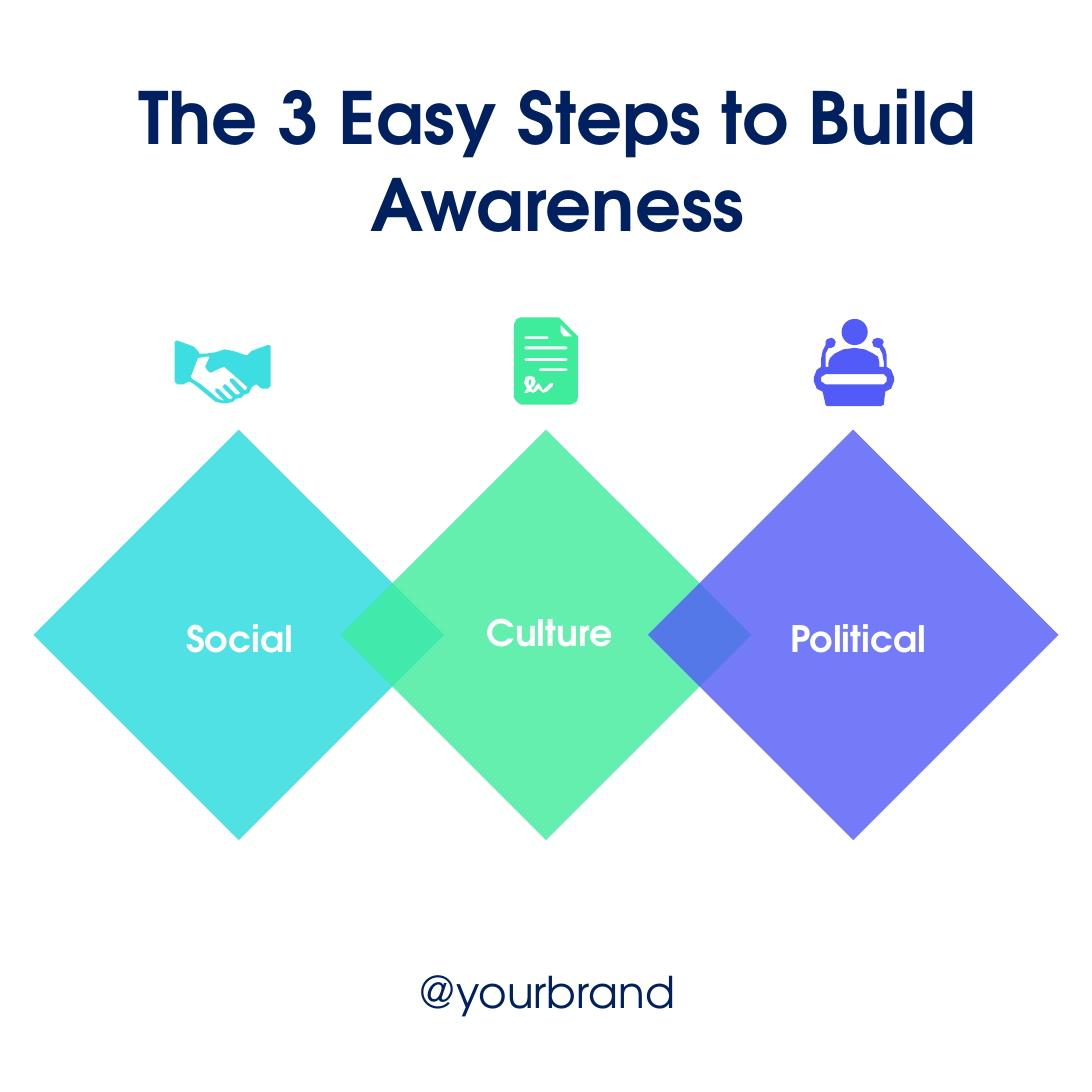
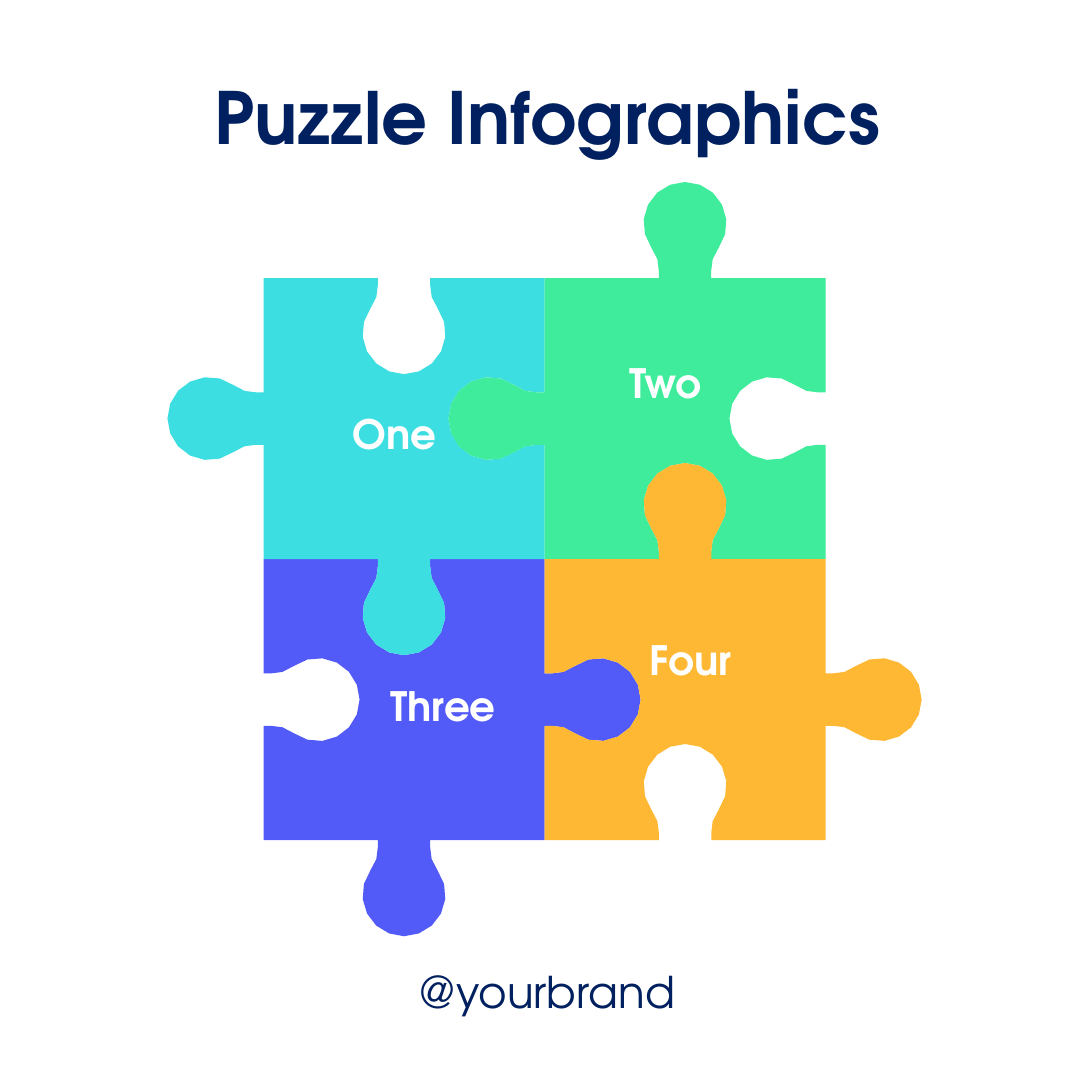
import math

from lxml import etree
from pptx import Presentation
from pptx.dml.color import RGBColor
from pptx.enum import shapes, text
from pptx.oxml.ns import qn

PX = 9144  # one px is a hundredth of an inch
FONT = "TeX Gyre Adventor"
COLORS = {
    "navy": "00205F",
    "white": "FFFFFF",
    "cyan": "3CDEE2",
    "green": "3EEC9C",
    "violet": "525BF7",
    "amber": "FEB833",
}


def write(sp, words, box, size=18, color="white", bold=True, wrap=True):
    sp.left, sp.top, sp.width, sp.height = (v * PX for v in box)
    tf = sp.text_frame
    tf.word_wrap = wrap
    tf.auto_size = text.MSO_AUTO_SIZE.NONE
    tf.vertical_anchor = text.MSO_ANCHOR.TOP
    p = tf.paragraphs[0]
    p.alignment = text.PP_ALIGN.CENTER
    r = p.add_run()
    r.text = words
    r.font.name, r.font.size, r.font.bold = FONT, int(size * 12700), bold
    r.font.color.rgb = RGBColor.from_string(COLORS[color])


def paint(sp, color, opacity=100):
    sp.shadow.inherit = False
    sp.fill.solid()
    sp.fill.fore_color.rgb = RGBColor.from_string(COLORS[color])
    sp.line.fill.background()
    if opacity < 100:
        clr = sp.fill._xPr.find(qn("a:solidFill"))[0]
        etree.SubElement(clr, qn("a:alpha"), val=str(opacity * 1000))


prs = Presentation()
prs.slide_width = prs.slide_height = 750 * PX

slides = []
for title, box in [
    ("The 3 Easy Steps to Build Awareness", (32, 45, 702, 130)),
    ("Puzzle Infographics", (56, 45, 640, 70)),
]:
    s = prs.slides.add_slide(prs.slide_layouts[5])
    write(s.shapes.title, title, box, size=35.6, color="navy")
    write(s.shapes.add_textbox(0, 0, 0, 0), "@yourbrand", (238, 658, 275, 46),
          size=21.6, color="navy", bold=False)
    slides.append(s)
steps, puzzle = slides

# Overlapping diamonds
DIAMOND, PITCH = 282, 211
for i, (color, opacity) in enumerate([("cyan", 90), ("green", 80), ("violet", 80)]):
    sp = steps.shapes.add_shape(shapes.MSO_SHAPE.DIAMOND, (23 + i * PITCH) * PX,
                                295 * PX, DIAMOND * PX, DIAMOND * PX)
    paint(sp, color, opacity)

# Icon outlines: later contours cut holes in the first one
handshake = [
    [(185, 237), (184, 237), (173, 241), (170, 244), (169, 244), (160, 241),
     (154, 240), (148, 242), (141, 243), (137, 243), (136, 241), (133, 238),
     (122, 234), (121, 234), (120, 235), (120, 262), (122, 264), (126, 264),
     (130, 262), (132, 263), (136, 266), (148, 276), (153, 277), (156, 277),
     (160, 276), (162, 274), (166, 273), (168, 271), (171, 270), (173, 266),
     (176, 264), (180, 267), (184, 267), (186, 265), (186, 238)],
    [(169, 268), (168, 268), (160, 260), (158, 260), (158, 262), (165, 270),
     (164, 271), (162, 271), (155, 264), (154, 264), (153, 266), (160, 273),
     (159, 274), (157, 274), (150, 267), (148, 267), (148, 269), (154, 275),
     (153, 275), (150, 274), (138, 264), (133, 261), (131, 259), (136, 246),
     (141, 245), (144, 245), (141, 252), (143, 255), (145, 256), (151, 253),
     (154, 252), (160, 257), (170, 266)],
]
document = [
    [(397, 231), (385, 219), (384, 218), (358, 218), (355, 219), (353, 223),
     (353, 273), (355, 276), (358, 278), (392, 278), (396, 276), (397, 273)],
    [(385, 223), (393, 231), (387, 231), (385, 228)],
    [(380, 265), (376, 269), (373, 270), (370, 267), (368, 269), (366, 270),
     (364, 269), (362, 270), (360, 270), (361, 268), (362, 267), (360, 263),
     (361, 259), (364, 258), (367, 259), (368, 262), (367, 265), (365, 267),
     (366, 268), (368, 265), (370, 263), (372, 266), (373, 268), (378, 263),
     (380, 263)],
]
for left, right, y in [(360, 377, 232), (360, 390, 239), (360, 390, 247), (370, 390, 254)]:
    document.append([(left, y), (left + 1, y - 1), (right - 1, y - 1),
                     (right, y), (right - 1, y + 1), (left + 1, y + 1)])
signature_loop = [[(364, 260), (363, 263), (364, 265), (365, 262)]]
podium = [
    [(609, 252), (609, 244), (608, 240), (606, 237), (607, 235), (606, 233),
     (603, 232), (600, 233), (599, 235), (600, 238), (603, 239), (604, 239),
     (606, 243), (607, 249), (607, 252), (604, 252), (604, 249), (603, 245),
     (600, 243), (594, 240), (587, 239), (579, 240), (573, 243), (570, 246),
     (569, 249), (569, 252), (567, 252), (567, 243), (569, 239), (571, 239),
     (573, 238), (574, 235), (573, 233), (571, 232), (568, 233), (567, 235),
     (567, 237), (565, 241), (564, 246), (564, 252), (561, 254), (559, 259),
     (559, 262), (561, 267), (565, 269), (567, 278), (568, 279), (605, 279),
     (607, 278), (608, 269), (612, 267), (614, 262), (614, 259), (612, 254)],
    [(609, 262), (607, 264), (567, 264), (564, 262), (564, 259), (567, 257),
     (607, 257), (609, 259)],
]
outlines = [(steps, "cyan", handshake), (steps, "green", document),
            (steps, "green", signature_loop), (steps, "violet", podium)]
head = steps.shapes.add_shape(shapes.MSO_SHAPE.OVAL, 578 * PX, 219 * PX, 18 * PX, 18 * PX)
paint(head, "violet")

# Knob outline as (distance out, distance along) from the middle of a side
neck = [(0, -18), (5, -18), (13, -19)]
bulb = [(37.5 + 28.5 * math.cos(math.radians(a)), 28.5 * math.sin(math.radians(a)))
        for a in range(-126, 127, 21)]
knob = neck + bulb + [(out, -along) for out, along in reversed(neck)]

# Pieces: column, row, and top, right, bottom, left sides (1 knob, -1 socket)
PIECE = 193
HALF = PIECE / 2
for color, col, row, sides in [
    ("violet", 0, 1, (-1, 1, 1, -1)),
    ("cyan", 0, 0, (-1, -1, 1, 1)),
    ("green", 1, 0, (1, -1, -1, 1)),
    ("amber", 1, 1, (1, 1, -1, -1)),
]:
    cx, cy = 181 + col * PIECE + HALF, 191 + row * PIECE + HALF
    contour = []
    for sign, (ax, ay) in zip(sides, [(1, 0), (0, 1), (-1, 0), (0, -1)]):
        for out, along in [(0, -HALF)] + knob:
            reach = HALF + sign * out
            contour.append((cx + ay * reach + ax * along, cy - ax * reach + ay * along))
    outlines.append((puzzle, color, [contour]))

for s, color, contours in outlines:
    fb = None
    for contour in contours:
        points = [(x * PX, y * PX) for x, y in contour]
        if fb is None:
            fb = s.shapes.build_freeform(*points[0])
        else:
            fb.move_to(*points[0])
        fb.add_line_segments(points[1:], close=True)
    paint(fb.convert_to_shape(), color)

for s, size, words, box in [
    (steps, 18, "Social", (117, 418, 95, 40)),
    (steps, 18, "Culture", (323, 414, 109, 40)),
    (steps, 18, "Political", (532, 418, 115, 40)),
    (puzzle, 20, "One", (232, 276, 78, 44)),
    (puzzle, 20, "Two", (421, 241, 72, 44)),
    (puzzle, 20, "Three", (258, 463, 93, 44)),
    (puzzle, 20, "Four", (412, 431, 125, 44)),
]:
    write(s.shapes.add_textbox(0, 0, 0, 0), words, box, size=size, wrap=False)

prs.save("out.pptx")
